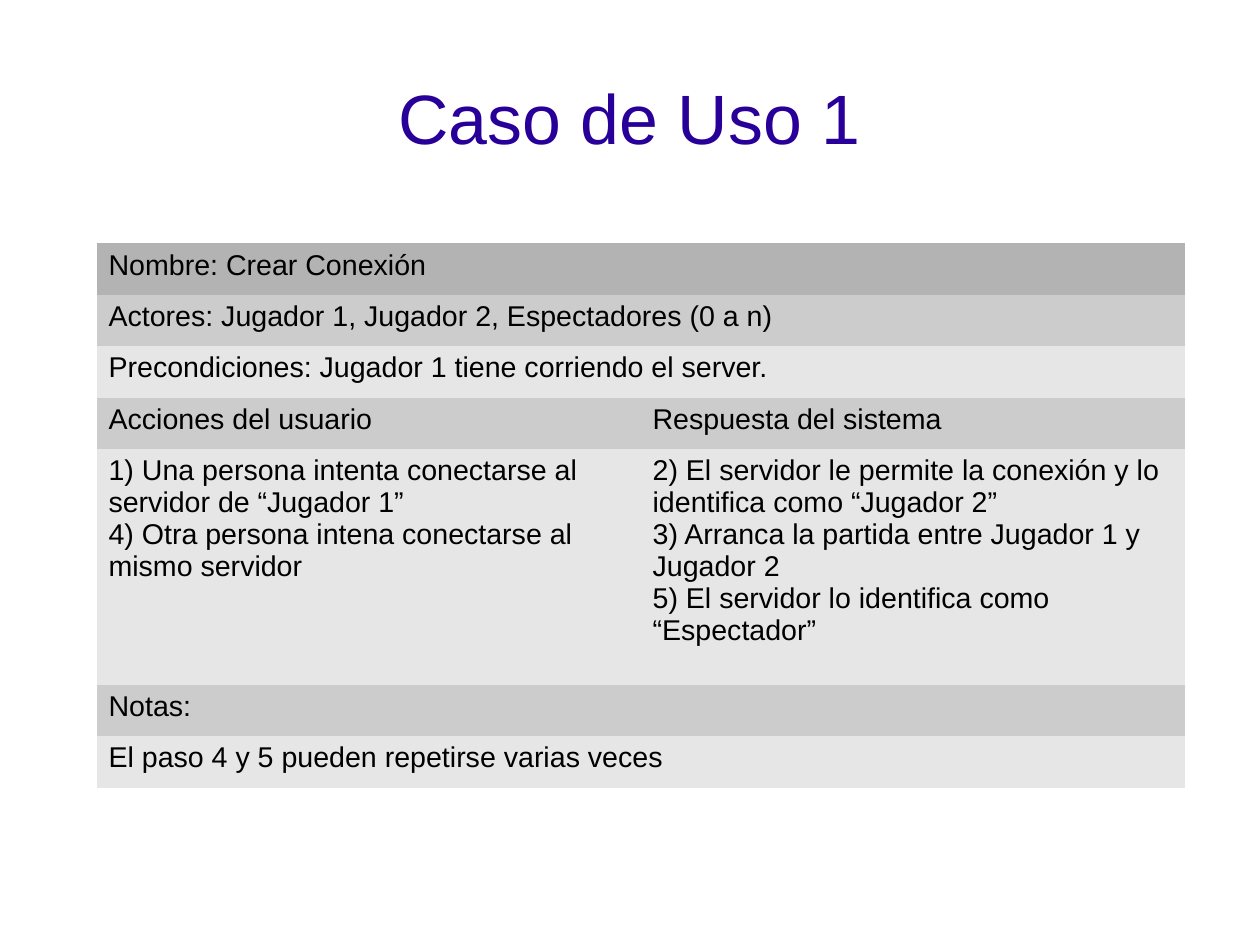
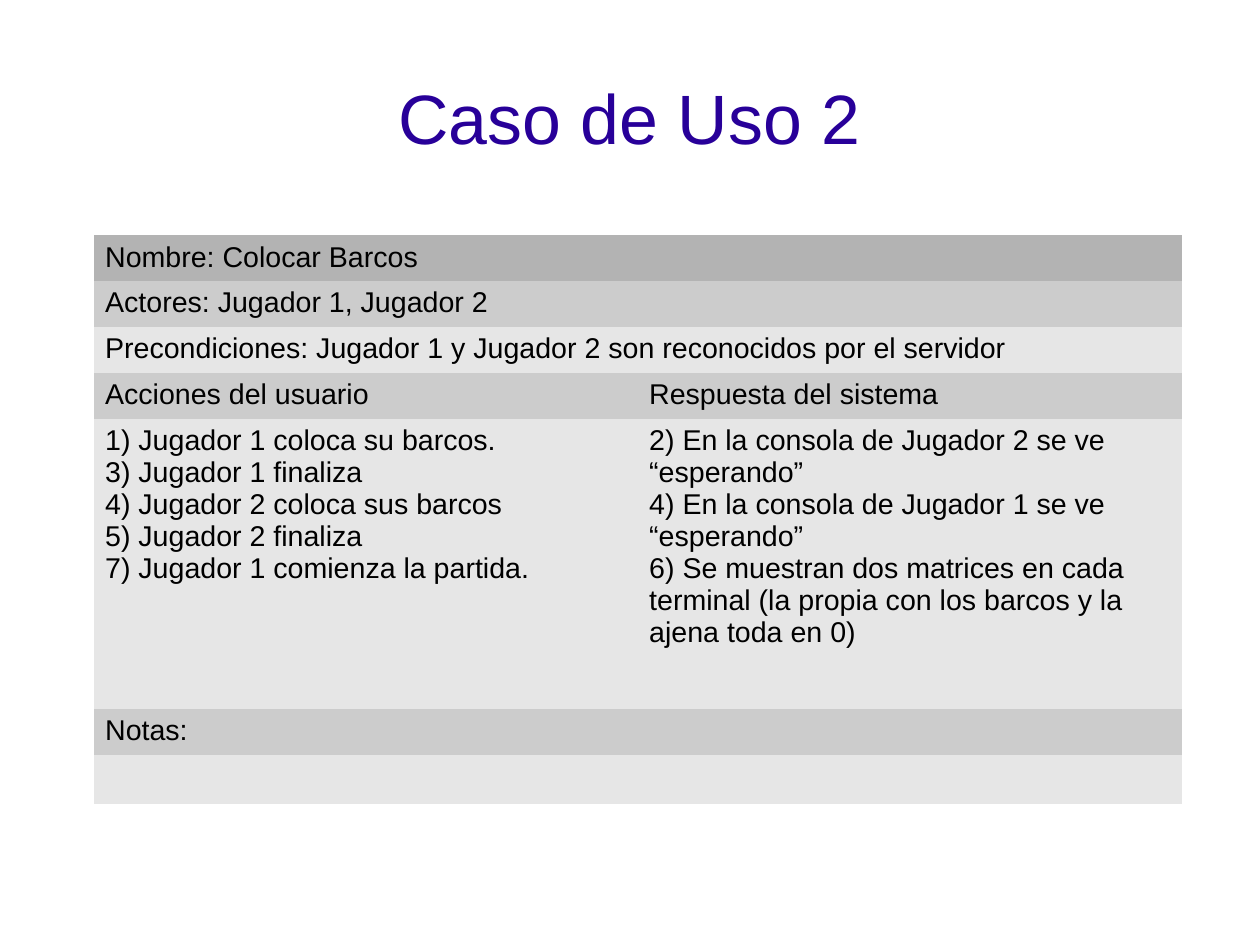
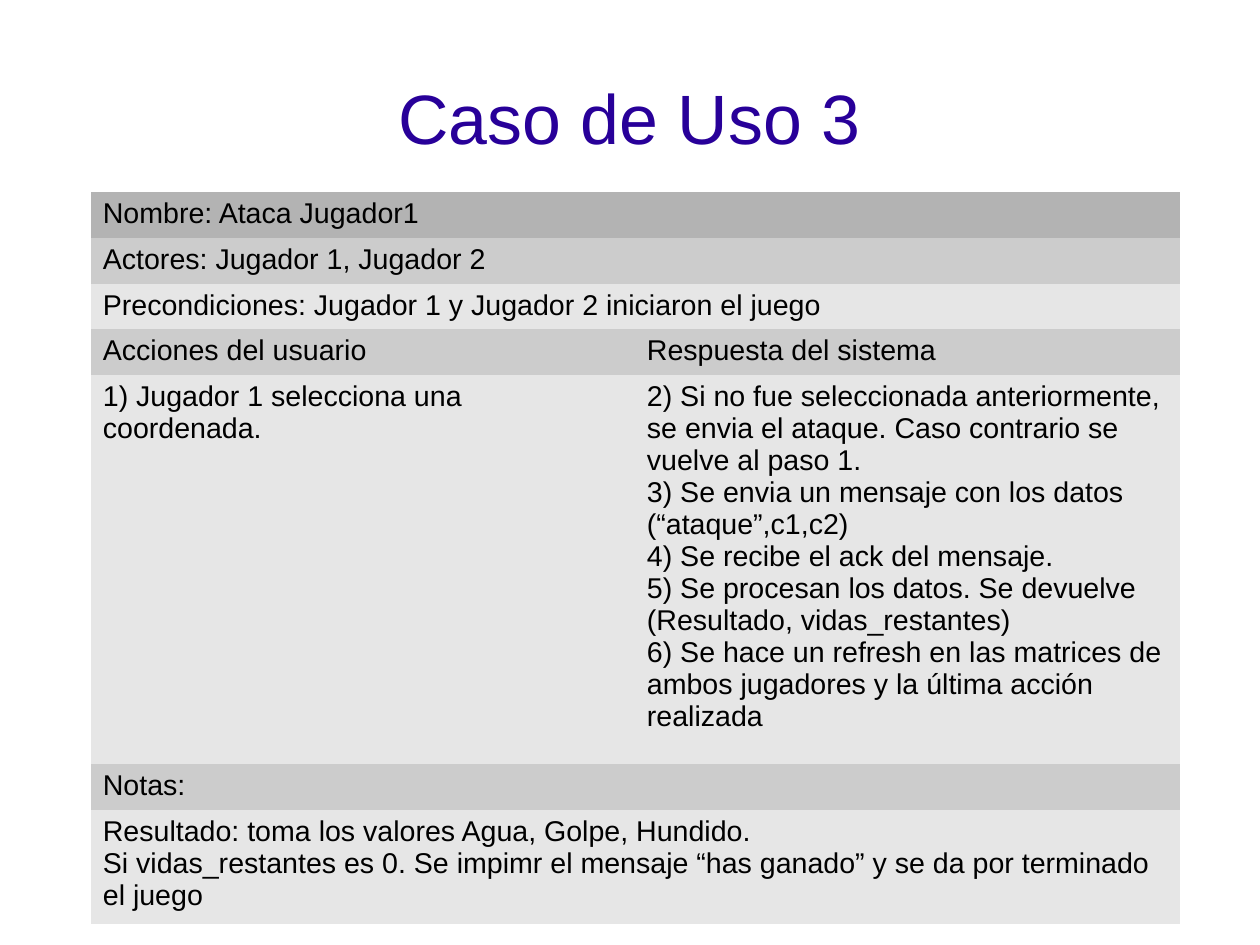
from pptx import Presentation
from pptx.dml.color import RGBColor
from pptx.enum.text import MSO_ANCHOR as Anchor, PP_ALIGN as Align
from pptx.util import Inches, Pt

FONT = "Arial"
TITLE_COLOR = RGBColor(0x28, 0x00, 0x99)
TEXT_COLOR = RGBColor(0x00, 0x00, 0x00)
HEADER = RGBColor(0xB3, 0xB3, 0xB3)
DARK = RGBColor(0xCC, 0xCC, 0xCC)
LIGHT = RGBColor(0xE6, 0xE6, 0xE6)
ROW_FILLS = [HEADER, DARK, LIGHT, DARK, LIGHT, DARK, LIGHT]
COLUMN_WIDTH = 4.76
CM_PER_INCH = 2.54
PLAIN_TABLE_STYLE = "{2D5ABB26-0587-4C30-8999-92F81FD0307C}"

USE_CASES = [
    {
        "left": 0.85, "top": 2.13,
        "row": 0.45, "steps_row": 2.06, "notes_row": 0.45,
        "name": "Crear Conexión",
        "actors": "Jugador 1, Jugador 2, Espectadores (0 a n)",
        "preconditions": "Jugador 1 tiene corriendo el server.",
        "actions": [
            "1) Una persona intenta conectarse al servidor de “Jugador 1”",
            "4) Otra persona intena conectarse al mismo servidor",
        ],
        "responses": [
            "2) El servidor le permite la conexión y lo identifica como “Jugador 2”",
            "3) Arranca la partida entre Jugador 1 y Jugador 2",
            "5) El servidor lo identifica como “Espectador”",
        ],
        "notes": ["El paso 4 y 5 pueden repetirse varias veces"],
    },
    {
        "left": 0.82, "top": 2.06,
        "row": 0.4, "steps_row": 2.54, "notes_row": 0.43,
        "name": "Colocar Barcos",
        "actors": "Jugador 1, Jugador 2",
        "preconditions": "Jugador 1 y Jugador 2 son reconocidos por el servidor",
        "actions": [
            "1) Jugador 1 coloca su barcos.",
            "3) Jugador 1 finaliza",
            "4) Jugador 2 coloca sus barcos",
            "5) Jugador 2 finaliza",
            "7) Jugador 1 comienza la partida.",
        ],
        "responses": [
            "2) En la consola de Jugador 2 se ve “esperando”",
            "4) En la consola de Jugador 1 se ve “esperando”",
            "6) Se muestran dos matrices en cada terminal "
            "(la propia con los barcos y la ajena toda en 0)",
        ],
        "notes": [],
    },
    {
        "left": 0.8, "top": 1.68,
        "row": 0.4, "steps_row": 3.39, "notes_row": 0.99,
        "name": "Ataca Jugador1",
        "actors": "Jugador 1, Jugador 2",
        "preconditions": "Jugador 1 y Jugador 2 iniciaron el juego",
        "actions": ["1) Jugador 1 selecciona una coordenada."],
        "responses": [
            "2) Si no fue seleccionada anteriormente, se envia el ataque. "
            "Caso contrario se vuelve al paso 1.",
            "3) Se envia un mensaje con los datos (“ataque”,c1,c2)",
            "4) Se recibe el ack del mensaje.",
            "5) Se procesan los datos. Se devuelve (Resultado, vidas_restantes)",
            "6) Se hace un refresh en las matrices de ambos jugadores "
            "y la última acción realizada",
        ],
        "notes": [
            "Resultado: toma los valores Agua, Golpe, Hundido.",
            "Si vidas_restantes es 0. Se impimr el mensaje “has ganado” "
            "y se da por terminado el juego",
        ],
    },
]


def write_text(text_frame, text, size, color, alignment):
    text_frame.word_wrap = True
    text_frame.text = text
    for paragraph in text_frame.paragraphs:
        paragraph.alignment = alignment
        for run in paragraph.runs:
            run.font.name = FONT
            run.font.size = Pt(size)
            run.font.color.rgb = color


presentation = Presentation()
presentation.slide_width = Inches(28 / CM_PER_INCH)
presentation.slide_height = Inches(21 / CM_PER_INCH)

for number, case in enumerate(USE_CASES, start=1):
    slide = presentation.slides.add_slide(presentation.slide_layouts[6])

    title = slide.shapes.add_textbox(Inches(0.55), Inches(0.33), Inches(9.92), Inches(1.38))
    title_frame = title.text_frame
    title_frame.margin_left = title_frame.margin_right = 0
    title_frame.margin_top = title_frame.margin_bottom = 0
    title_frame.vertical_anchor = Anchor.MIDDLE
    write_text(title_frame, f"Caso de Uso {number}", 44, TITLE_COLOR, Align.CENTER)

    rows = [
        [f"Nombre: {case['name']}"],
        [f"Actores: {case['actors']}"],
        [f"Precondiciones: {case['preconditions']}"],
        ["Acciones del usuario", "Respuesta del sistema"],
        ["\n".join(case["actions"]), "\n".join(case["responses"])],
        ["Notas:"],
        ["\n".join(case["notes"])],
    ]
    heights = [case["row"]] * 4 + [case["steps_row"], case["row"], case["notes_row"]]

    table = slide.shapes.add_table(
        len(rows), 2, Inches(case["left"]), Inches(case["top"]),
        Inches(2 * COLUMN_WIDTH), Inches(sum(heights)),
    ).table
    table.first_row = False
    table.horz_banding = False
    table._tbl.tblPr[0].text = PLAIN_TABLE_STYLE
    for column in table.columns:
        column.width = Inches(COLUMN_WIDTH)

    for index, (texts, height, color) in enumerate(zip(rows, heights, ROW_FILLS)):
        table.rows[index].height = Inches(height)
        if len(texts) == 1:
            table.cell(index, 0).merge(table.cell(index, 1))
        for position, text in enumerate(texts):
            cell = table.cell(index, position)
            cell.fill.solid()
            cell.fill.fore_color.rgb = color
            write_text(cell.text_frame, text, 18, TEXT_COLOR, Align.LEFT)

presentation.save("out.pptx")
